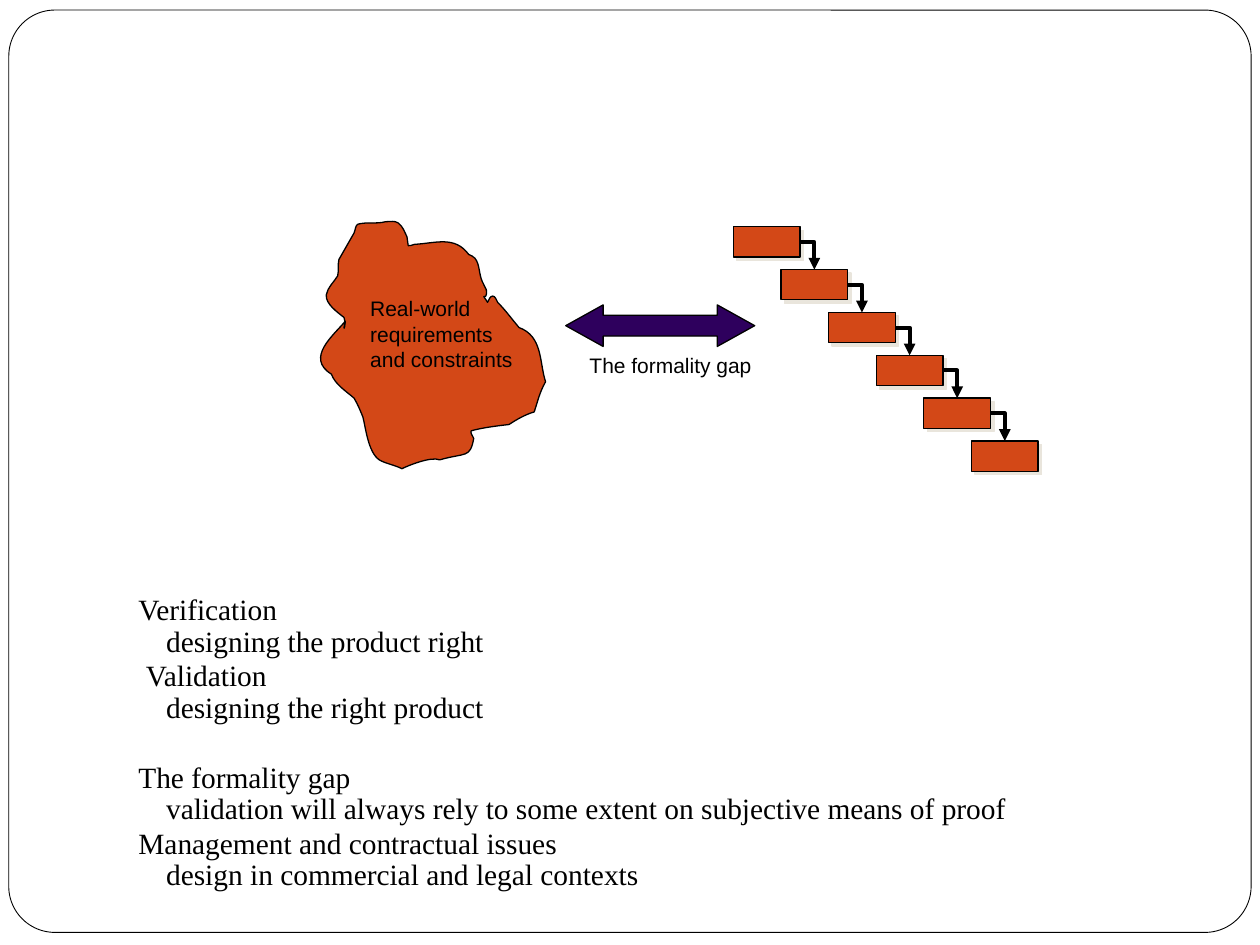
"""Build the formality gap slide."""
from lxml import etree
from pptx import Presentation
from pptx.dml.color import RGBColor
from pptx.enum.shapes import MSO_CONNECTOR, MSO_SHAPE
from pptx.enum.text import PP_ALIGN
from pptx.oxml.ns import qn
from pptx.util import Inches, Pt

ROUNDED, RECT = MSO_SHAPE.ROUNDED_RECTANGLE, MSO_SHAPE.RECTANGLE
DOUBLE_ARROW, ELBOW = MSO_SHAPE.LEFT_RIGHT_ARROW, MSO_CONNECTOR.ELBOW
JUSTIFY = PP_ALIGN.JUSTIFY
BLACK, WHITE = RGBColor(0, 0, 0), RGBColor(255, 255, 255)
ORANGE, PURPLE = RGBColor(0xD3, 0x48, 0x17), RGBColor(0x2E, 0, 0x5D)
SHADOW = RGBColor(0xE9, 0xE5, 0xDC)

WORLD = "Real-world\vrequirements\vand constraints"
GAP = "The formality gap"
TOPICS = [
    ("Verification", "designing the product right", 0, 0),
    ("Validation", "designing the right product", 5.8, 0.06),
    (GAP, "validation will always rely to some extent on subjective means of proof", 26.2, 0),
    ("Management and contractual issues", "design in commercial and legal contexts", 5.8, 0),
]
DETAIL_SPACE, DETAIL_INDENT = 3.7, 0.22
STEPS, STEP_W, STEP_H = 6, 0.53, 0.24
FIRST_STEP, LAST_STEP = (5.82, 1.8), (7.71, 3.5)
BLOB_START = (2.74, 2.55)
BLOB_CURVES = [
    (2.65, 2.66, 2.42, 2.84, 2.63, 2.97), (2.66, 3.05, 2.74, 3.1, 2.81, 3.16),
    (2.84, 3.21, 2.86, 3.26, 2.88, 3.31), (2.9, 3.38, 2.92, 3.59, 3.01, 3.65),
    (3.06, 3.68, 3.13, 3.69, 3.19, 3.72), (3.23, 3.7, 3.42, 3.62, 3.49, 3.65),
    (3.7, 3.59, 3.73, 3.64, 3.76, 3.48), (3.75, 3.46, 3.73, 3.43, 3.74, 3.42),
    (3.84, 3.39, 4.04, 3.37, 4.04, 3.37), (4.1, 3.33, 4.17, 3.29, 4.24, 3.27),
    (4.27, 3.18, 4.28, 3.12, 4.33, 3.03), (4.28, 2.88, 4.31, 2.67, 4.12, 2.6),
    (4.06, 2.53, 4.01, 2.46, 3.95, 2.4), (3.94, 2.38, 3.93, 2.35, 3.91, 2.35),
    (3.89, 2.35, 3.88, 2.38, 3.87, 2.4), (3.8, 2.29, 3.87, 2.42, 3.86, 2.3),
    (3.85, 2.28, 3.84, 2.26, 3.83, 2.24), (3.8, 2.18, 3.81, 2.1, 3.77, 2.05),
    (3.76, 2.03, 3.73, 2.03, 3.72, 2.02), (3.61, 1.87, 3.46, 1.93, 3.29, 1.94),
    (3.27, 1.94, 3.25, 1.96, 3.24, 1.95), (3.23, 1.93, 3.24, 1.9, 3.23, 1.88),
    (3.21, 1.84, 3.2, 1.8, 3.16, 1.77), (3.13, 1.75, 3.1, 1.76, 3.06, 1.76),
    (2.99, 1.78, 2.91, 1.76, 2.84, 1.78), (2.82, 1.79, 2.82, 1.83, 2.81, 1.85),
    (2.77, 1.92, 2.73, 1.99, 2.69, 2.06), (2.68, 2.1, 2.69, 2.15, 2.68, 2.19),
    (2.65, 2.24, 2.6, 2.28, 2.59, 2.34), (2.58, 2.41, 2.68, 2.48, 2.73, 2.52),
    (2.73, 2.53, 2.74, 2.55, 2.74, 2.56), (2.74, 2.58, 2.73, 2.62, 2.73, 2.6),
    (2.73, 2.59, 2.74, 2.57, 2.74, 2.55),
]


def paint(shape, fill, width=0.75):
    shape.shadow.inherit = False
    shape.fill.solid()
    shape.fill.fore_color.rgb = fill
    shape.line.color.rgb = BLACK
    shape.line.width = Pt(width)
    return shape


def add_box(kind, x, y, w, h, fill, width=0.75):
    box = s.shapes.add_shape(kind, Inches(x), Inches(y), Inches(w), Inches(h))
    return paint(box, fill, width)


def add_text(x, y, w, h, wrap):
    tf = s.shapes.add_textbox(Inches(x), Inches(y), Inches(w), Inches(h)).text_frame
    tf.word_wrap = wrap
    return tf


def style(p, font, size):
    for r in p.runs:
        r.font.name, r.font.size = font, Pt(size)
        r.font.color.rgb = BLACK


def add_label(text, x, y, w, h):
    tf = add_text(x, y, w, h, False)
    tf.text = text
    p = tf.paragraphs[0]
    p.font.size = Pt(12)
    style(p, "Arial", 12)


def add_step_shadow(box):
    effects = box._element.spPr.find(qn("a:effectLst"))
    cast = etree.SubElement(effects, qn("a:outerShdw"), dist=str(Pt(2.8)), dir="2700000")
    etree.SubElement(cast, qn("a:srgbClr"), val=str(SHADOW))


def add_step_arrow(x1, y1, x2, y2):
    arrow = s.shapes.add_connector(ELBOW, Inches(x1), Inches(y1), Inches(x2), Inches(y2))
    arrow.line.color.rgb = BLACK
    arrow.line.width = Pt(2.25)
    spPr = arrow._element.spPr
    spPr.find(qn("a:prstGeom")).set("prst", "bentConnector2")
    etree.SubElement(arrow.line._get_or_add_ln(), qn("a:tailEnd"), type="triangle")
    etree.SubElement(spPr, qn("a:effectLst"))


def add_blob():
    points = [(Inches(c[i]), Inches(c[i + 1])) for c in BLOB_CURVES for i in (0, 2, 4)]
    builder = s.shapes.build_freeform(*map(Inches, BLOB_START))
    builder.add_line_segments(points, close=True)
    blob = paint(builder.convert_to_shape(), ORANGE)
    segments = list(blob._element.iter(qn("a:lnTo")))
    for i in range(0, len(BLOB_CURVES) * 3, 3):
        curve, *rest = segments[i:i + 3]
        bezier = etree.Element(qn("a:cubicBezTo"))
        curve.addprevious(bezier)
        for segment in (curve, *rest):
            bezier.append(segment[0])
            segment.getparent().remove(segment)


prs = Presentation()
prs.slide_width, prs.slide_height = Inches(10), Inches(7.5)
s = prs.slides.add_slide(prs.slide_layouts[6])

frame = add_box(ROUNDED, 0.07, 0.08, 9.86, 7.32, WHITE, 0.5)
frame.adjustments[0] = 0.05

corners = [tuple(a + (b - a) * i / (STEPS - 1) for a, b in zip(FIRST_STEP, LAST_STEP))
           for i in range(STEPS)]
for x, y in corners:
    add_step_shadow(add_box(RECT, x, y, STEP_W, STEP_H, ORANGE))
for (x, y), (next_x, next_y) in zip(corners, corners[1:]):
    add_step_arrow(x + STEP_W, y + STEP_H / 2, next_x + STEP_W / 2, next_y)

add_blob()
add_label(WORLD, 2.84, 2.3, 1.33, 0.7)

gap_arrow = add_box(DOUBLE_ARROW, 4.49, 2.42, 1.5, 0.33, PURPLE)
gap_arrow.adjustments[0], gap_arrow.adjustments[1] = 0.5, 0.9
add_label(GAP, 4.58, 2.75, 1.49, 0.3)

lines = []
for topic, detail, space, indent in TOPICS:
    lines += [(topic, 0, space, indent), (detail, 1, DETAIL_SPACE, DETAIL_INDENT)]
tf = add_text(1, 3.92, 8.5, 3.42, True)
tf.margin_top = Inches(0.85)
tf.text = "\n".join(text for text, *_ in lines)
for p, (_, level, space, indent) in zip(tf.paragraphs, lines):
    p.level, p.alignment = level, JUSTIFY
    p.line_spacing, p.space_before = 0.7, Pt(space)
    p._p.get_or_add_pPr().set("marL", str(Inches(indent)))
    style(p, "Times New Roman", 16.8)

prs.save("out.pptx")
